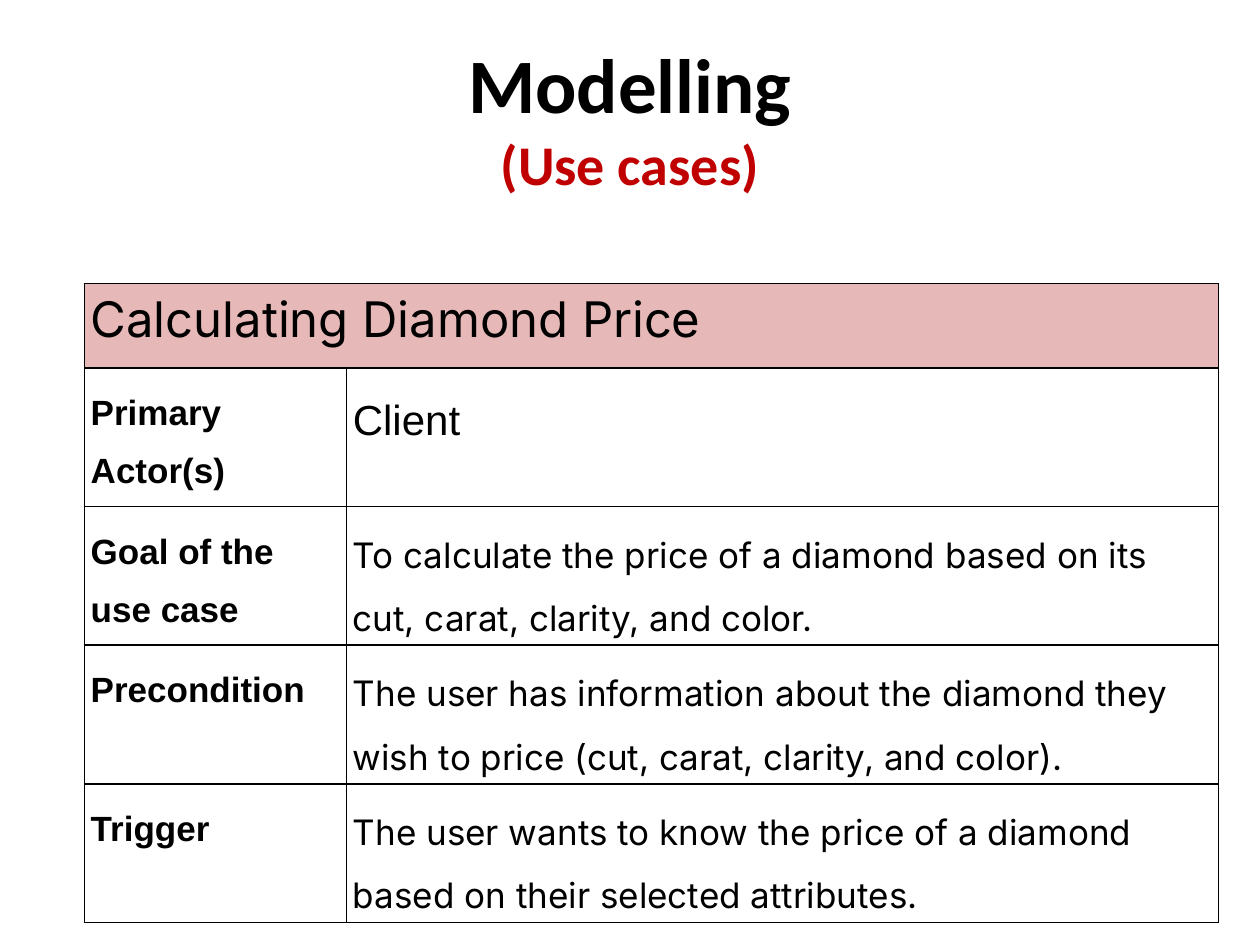
from lxml import etree
from pptx import Presentation
from pptx.dml.color import RGBColor
from pptx.enum.text import MSO_ANCHOR, PP_ALIGN
from pptx.oxml.ns import qn
from pptx.util import Inches, Pt

CENTER = PP_ALIGN.CENTER
MIDDLE = MSO_ANCHOR.MIDDLE
TOP = MSO_ANCHOR.TOP

COLORS = {"text": "000000", "accent": "C00000", "header": "E6B9B8", "border": "000000"}
INSET = Inches(0.05)
MARGINS = ("margin_left", "margin_right", "margin_top", "margin_bottom")

COLUMN_WIDTHS = (2.08, 6.92)
ROW_HEIGHTS = (0.67, 0.84, 0.84, 0.84, 0.9)
USE_CASE_NAME = "Calculating Diamond Price"
# Label, description, description font, description size
DETAILS = [
    ("Primary Actor(s)", "Client", "Arial", 24),
    ("Goal of the use case",
     "To calculate the price of a diamond based on its cut, carat, clarity, and color.",
     "Inter", 20),
    ("Precondition",
     "The user has information about the diamond they wish to price "
     "(cut, carat, clarity, and color).", "Inter", 20),
    ("Trigger",
     "The user wants to know the price of a diamond based on their selected attributes.",
     "Inter", 20),
]


def set_margins(target):
    for margin in MARGINS:
        setattr(target, margin, INSET)


def add_run(paragraph, text, font, size, bold=False, color="text"):
    run = paragraph.add_run()
    run.text = text
    formats = {"name": font, "size": Pt(size), "bold": bold}
    for attribute, value in formats.items():
        setattr(run.font, attribute, value)
    run.font.color.rgb = RGBColor.from_string(COLORS[color])


def add_title(slide):
    box = slide.shapes.add_textbox(Inches(0.5), Inches(0.3), Inches(9), Inches(1.25))
    frame = box.text_frame
    frame.word_wrap = True
    frame.vertical_anchor = MIDDLE
    set_margins(frame)
    heading = frame.paragraphs[0]
    heading.alignment = CENTER
    add_run(heading, "Modelling", "Calibri", 44, bold=True)
    heading.add_line_break()
    add_run(heading, "(Use cases)", "Calibri", 32, bold=True, color="accent")


def add_borders(cell):
    properties = cell._tc.get_or_add_tcPr()
    for position, side in enumerate(("a:lnL", "a:lnR", "a:lnT", "a:lnB")):
        line = etree.Element(qn(side), w=str(Pt(1)))
        fill = etree.SubElement(line, qn("a:solidFill"))
        etree.SubElement(fill, qn("a:srgbClr"), val=COLORS["border"])
        properties.insert(position, line)


def style_cell(cell, fill=None):
    set_margins(cell)
    cell.vertical_anchor = TOP
    if fill:
        cell.fill.solid()
        cell.fill.fore_color.rgb = RGBColor.from_string(COLORS[fill])
    else:
        cell.fill.background()
    add_borders(cell)


def write_cell(cell, text, font, size, bold=False, spacing=None):
    paragraph = cell.text_frame.paragraphs[0]
    paragraph.line_spacing = spacing
    add_run(paragraph, text, font, size, bold)


def add_use_case_table(slide):
    frame = slide.shapes.add_table(
        len(ROW_HEIGHTS), len(COLUMN_WIDTHS), Inches(0.67), Inches(2.25),
        Inches(sum(COLUMN_WIDTHS)), Inches(sum(ROW_HEIGHTS)))
    table = frame.table
    table.first_row = table.horz_banding = False
    for column, width in zip(table.columns, COLUMN_WIDTHS):
        column.width = Inches(width)
    for index, height in enumerate(ROW_HEIGHTS):
        table.rows[index].height = Inches(height)
        for cell in table.rows[index].cells:
            style_cell(cell, "header" if index == 0 else None)

    # Header across both columns
    table.cell(0, 0).merge(table.cell(0, 1))
    write_cell(table.cell(0, 0), USE_CASE_NAME, "Inter", 28)

    # Label and description rows
    for row, (label, description, font, size) in enumerate(DETAILS, start=1):
        write_cell(table.cell(row, 0), label, "Arial", 20, bold=True, spacing=1.5)
        write_cell(table.cell(row, 1), description, font, size, spacing=1.5)


def main():
    presentation = Presentation()
    presentation.slide_width = Inches(10)
    presentation.slide_height = Inches(7.5)
    slide = presentation.slides.add_slide(presentation.slide_layouts[6])
    add_title(slide)
    add_use_case_table(slide)
    presentation.save("out.pptx")


if __name__ == "__main__":
    main()
